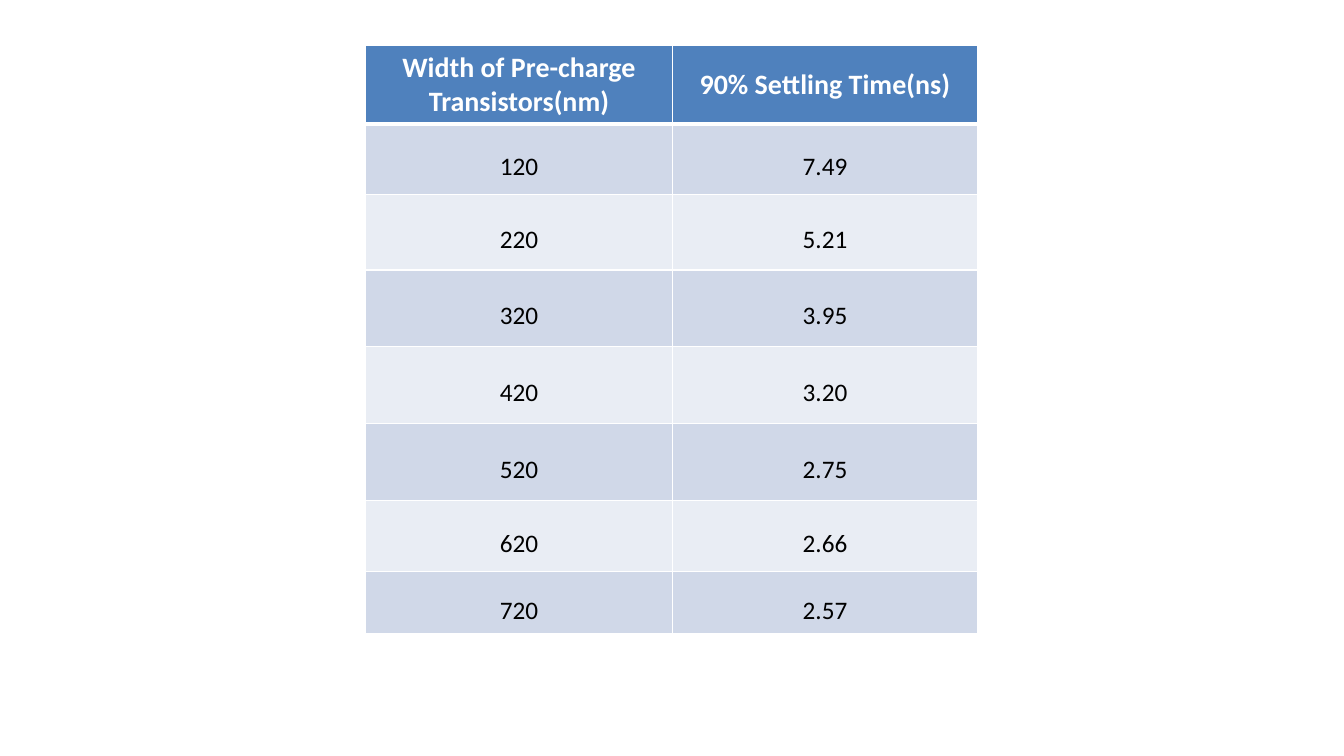
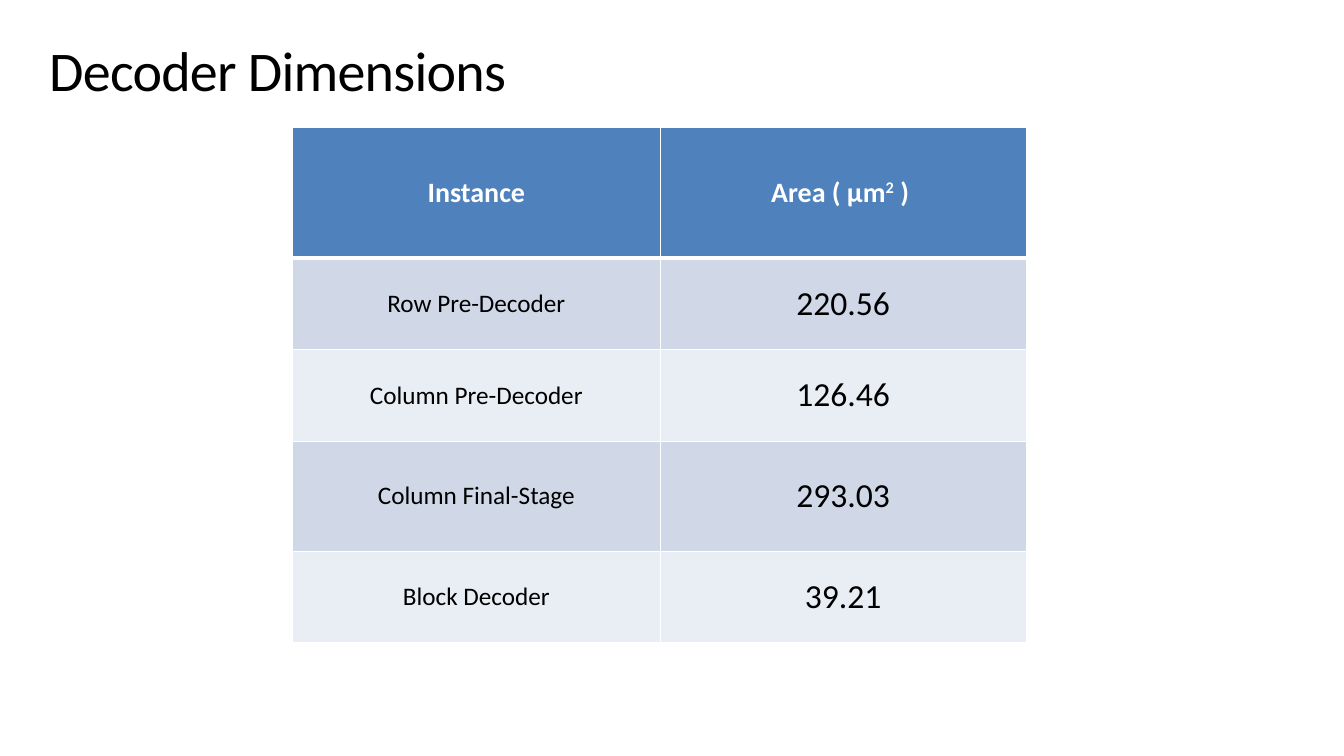
from lxml.etree import SubElement
from pptx import Presentation
from pptx.dml.color import RGBColor
from pptx.enum.text import MSO_ANCHOR, MSO_AUTO_SIZE, PP_ALIGN
from pptx.oxml import parse_xml
from pptx.oxml.ns import nsdecls, qn
from pptx.util import Cm, Pt

FONT = "Calibri"
HEAD, BANDS = "4F81BD", ("D0D8E8", "E9EDF4")
WHITE, BLACK = "FFFFFF", "000000"

# A header is a list of runs; "^" marks a raised one.
SLIDES = [
    {
        "title": None,
        "at": (9.22, 1.14),
        "cols": (7.72, 7.7),
        "rows": (1.93, 1.78, 1.9, 1.92, 1.95, 1.93, 1.8, 1.57),
        "sizes": (18, 18),
        "spacing": 1.5,
        "head": (["Width of Pre-charge Transistors(nm)"],
                 ["90% Settling Time(ns)"]),
        "data": [("120", "7.49"), ("220", "5.21"), ("320", "3.95"),
                 ("420", "3.20"), ("520", "2.75"), ("620", "2.66"),
                 ("720", "2.57")],
    },
    {
        "title": "Decoder Dimensions",
        "at": (7.37, 3.2),
        "cols": (9.27, 9.22),
        "rows": (3.3, 2.31, 2.31, 2.77, 2.31),
        "sizes": (18, 24),
        "spacing": 1.0,
        "head": (["Instance"], ["Area ( µm", "^2", " ) "]),
        "data": [("Row Pre-Decoder", "220.56"),
                 ("Column Pre-Decoder", "126.46"),
                 ("Column Final-Stage", "293.03"),
                 ("Block Decoder", "39.21")],
    },
]

TITLE_BOX = {"left": Cm(0.91), "top": Cm(0.05),
             "width": Cm(17.07), "height": Cm(3.2)}
TITLE_FRAME = {"margin_left": Cm(0.33), "margin_right": Cm(0.33),
               "margin_top": Cm(0.18), "margin_bottom": Cm(0.18),
               "vertical_anchor": MSO_ANCHOR.MIDDLE, "word_wrap": True,
               "auto_size": MSO_AUTO_SIZE.NONE}


def apply(item, values):
    for key, value in values.items():
        setattr(item, key, value)


def color(code):
    return RGBColor.from_string(code)


def style(font, size, code, bold=False):
    apply(font, {"name": FONT, "size": Pt(size), "bold": bold})
    font.color.rgb = color(code)


def border(cell, widths):
    """Draw white edges; widths are in points, by side."""
    props = cell._tc.get_or_add_tcPr()
    for spot, side in enumerate("LRTB"):
        line = parse_xml(f'<a:ln{side} {nsdecls("a")} w="{Pt(widths[side])}"/>')
        fill = SubElement(line, qn("a:solidFill"))
        SubElement(fill, qn("a:srgbClr"), val=WHITE)
        props.insert(spot, line)


def fill_cell(cell, parts, size, fore, back, bold, spacing, widths):
    cell.vertical_anchor = MSO_ANCHOR.MIDDLE
    para = cell.text_frame.paragraphs[0]
    apply(para, {"alignment": PP_ALIGN.CENTER, "line_spacing": spacing})
    for part in parts:
        run = para.add_run()
        run.text = part.lstrip("^")
        style(run.font, size, fore, bold)
        if part.startswith("^"):
            run._r.get_or_add_rPr().set("baseline", "30000")
    cell.fill.solid()
    cell.fill.fore_color.rgb = color(back)
    border(cell, widths)


def add_title(slide, text):
    title = slide.shapes.title
    apply(title, TITLE_BOX)
    frame = title.text_frame
    apply(frame, TITLE_FRAME)
    para = frame.paragraphs[0]
    apply(para, {"alignment": PP_ALIGN.LEFT, "line_spacing": 1.1})
    run = para.add_run()
    run.text = text
    style(run.font, 40, BLACK)
    run._r.get_or_add_rPr().set("spc", "-50")


def add_grid(slide, page):
    cols, rows = page["cols"], page["rows"]
    left, top = page["at"]
    table = slide.shapes.add_table(len(rows), len(cols), Cm(left), Cm(top),
                                   Cm(sum(cols)), Cm(sum(rows))).table
    for col, width in zip(table.columns, cols):
        col.width = Cm(width)
    for row, height in zip(table.rows, rows):
        row.height = Cm(height)

    thin = dict.fromkeys("LRTB", 1)
    thick = thin | {"B": 3}
    for c, parts in enumerate(page["head"]):
        fill_cell(table.cell(0, c), parts, 20, WHITE, HEAD, True, 1.0, thick)
    for r, values in enumerate(page["data"]):
        edges = thin if r else thin | {"T": 3}
        for c, (text, size) in enumerate(zip(values, page["sizes"])):
            fill_cell(table.cell(r + 1, c), [text], size, BLACK,
                      BANDS[r % 2], False, page["spacing"], edges)


def main():
    deck = Presentation()
    apply(deck, {"slide_width": Cm(33.87), "slide_height": Cm(19.05)})
    for page in SLIDES:
        name = "Title Only" if page["title"] else "Blank"
        slide = deck.slides.add_slide(deck.slide_layouts.get_by_name(name))
        if page["title"]:
            add_title(slide, page["title"])
        add_grid(slide, page)
    deck.save("out.pptx")


if __name__ == "__main__":
    main()
